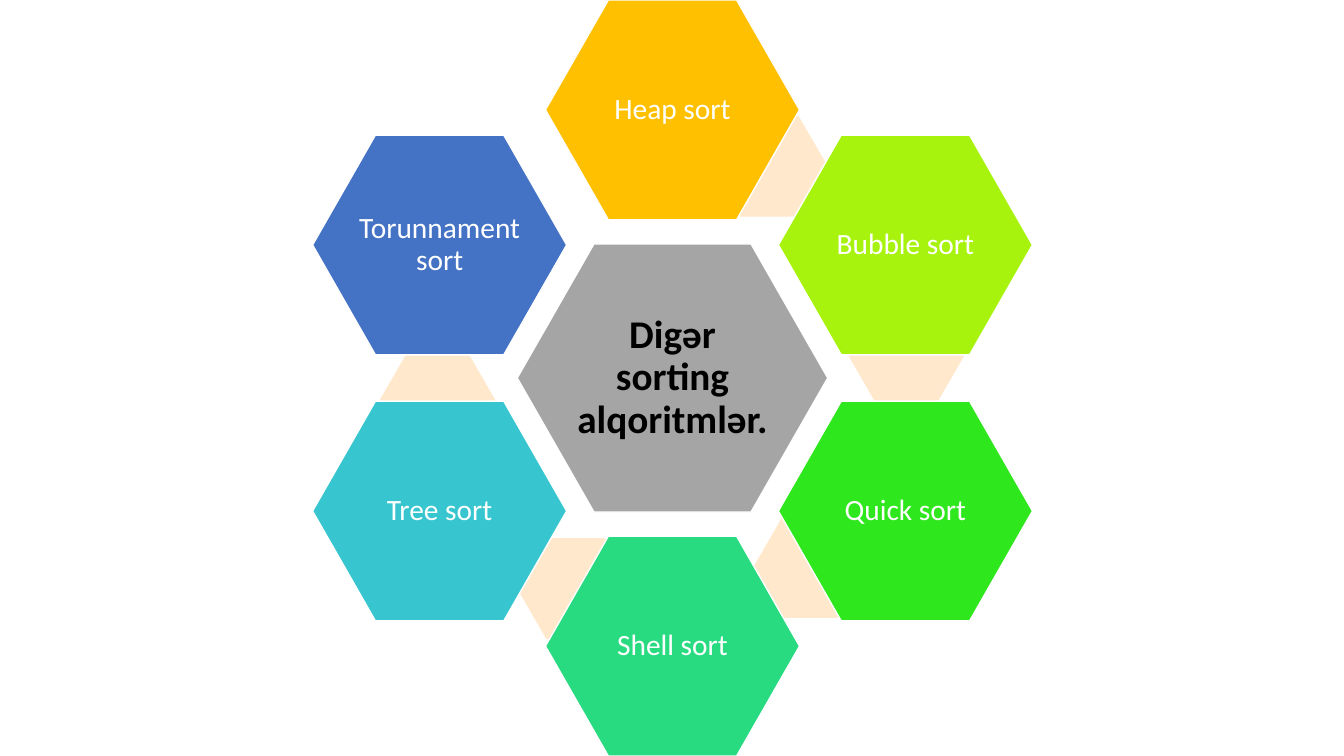
from pptx import Presentation
from pptx.dml.color import RGBColor
from pptx.enum.shapes import MSO_SHAPE
from pptx.enum.text import MSO_ANCHOR, PP_ALIGN
from pptx.util import Emu, Pt

HEXAGON = MSO_SHAPE.HEXAGON
MIDDLE = MSO_ANCHOR.MIDDLE
CENTER = PP_ALIGN.CENTER

WHITE = RGBColor(0xFF, 0xFF, 0xFF)
BLACK = RGBColor(0x00, 0x00, 0x00)
GRAY = RGBColor(0xA5, 0xA5, 0xA5)
PEACH = RGBColor(0xFF, 0xE8, 0xCC)
GOLD = RGBColor(0xFF, 0xC0, 0x00)
LIME = RGBColor(0xA7, 0xF3, 0x0E)
GREEN = RGBColor(0x2E, 0xE7, 0x1C)
MINT = RGBColor(0x29, 0xDB, 0x80)
TEAL = RGBColor(0x37, 0xC6, 0xCF)
BLUE = RGBColor(0x44, 0x72, 0xC4)

SCALE = 9144
CORE = (308, 266)
PETAL = (252, 218)
LINK = (116, 100)
MID_X, MID_Y = 667, 375
STEP_X, STEP_Y, FAR_Y = 231, 132, 266

PETALS = [
    ("Heap sort", GOLD, 0, -FAR_Y, (763, 165)),
    ("Bubble sort", LIME, STEP_X, -STEP_Y, (899, 352)),
    ("Quick sort", GREEN, STEP_X, STEP_Y, (805, 563)),
    ("Shell sort", MINT, 0, FAR_Y, (571, 584)),
    ("Tree sort", TEAL, -STEP_X, STEP_Y, (434, 398)),
    ("Torunnament sort", BLUE, -STEP_X, -STEP_Y, None),
]


def px(count):
    return Emu(count * SCALE)


def write(frame, text, size=21, color=WHITE, bold=False, inset=3):
    frame.word_wrap = True
    frame.vertical_anchor = MIDDLE
    frame.margin_left = frame.margin_right = px(inset)
    frame.margin_top = frame.margin_bottom = px(inset)
    line = frame.paragraphs[0]
    line.alignment = CENTER
    line.line_spacing = 0.9
    run = line.add_run()
    run.text = text
    run.font.name = "Calibri"
    run.font.size = Pt(size)
    run.font.bold = bold
    run.font.color.rgb = color


class Board:
    """Draws hexagons on the current slide in one style."""

    def __init__(self, deck):
        self.slide = deck.slides.add_slide(deck.slide_layouts[6])

    def hexagon(self, x, y, area, fill, skew=0.286):
        wide, high = area
        shape = self.slide.shapes.add_shape(
            HEXAGON, px(x - wide // 2), px(y - high // 2), px(wide), px(high))
        shape.adjustments[0] = skew
        shape.adjustments[1] = 1.155
        shape.shadow.inherit = False
        shape.fill.solid()
        shape.fill.fore_color.rgb = fill
        return shape

    def link(self, x, y):
        self.hexagon(x, y, LINK, PEACH, 0.289).line.fill.background()

    def cell(self, x, y, area, fill, text, **style):
        shape = self.hexagon(x, y, area, fill)
        shape.line.color.rgb = WHITE
        shape.line.width = Pt(1)
        write(shape.text_frame, text, **style)


def main():
    deck = Presentation()
    deck.slide_width, deck.slide_height = px(1333), px(750)
    board = Board(deck)
    board.cell(MID_X, MID_Y, CORE, GRAY, "Digər sorting alqoritmlər.",
               size=28, color=BLACK, bold=True, inset=4)
    for text, fill, dx, dy, link in PETALS:
        if link:
            board.link(*link)
        board.cell(MID_X + dx, MID_Y + dy, PETAL, fill, text)
    deck.save("out.pptx")


if __name__ == "__main__":
    main()
